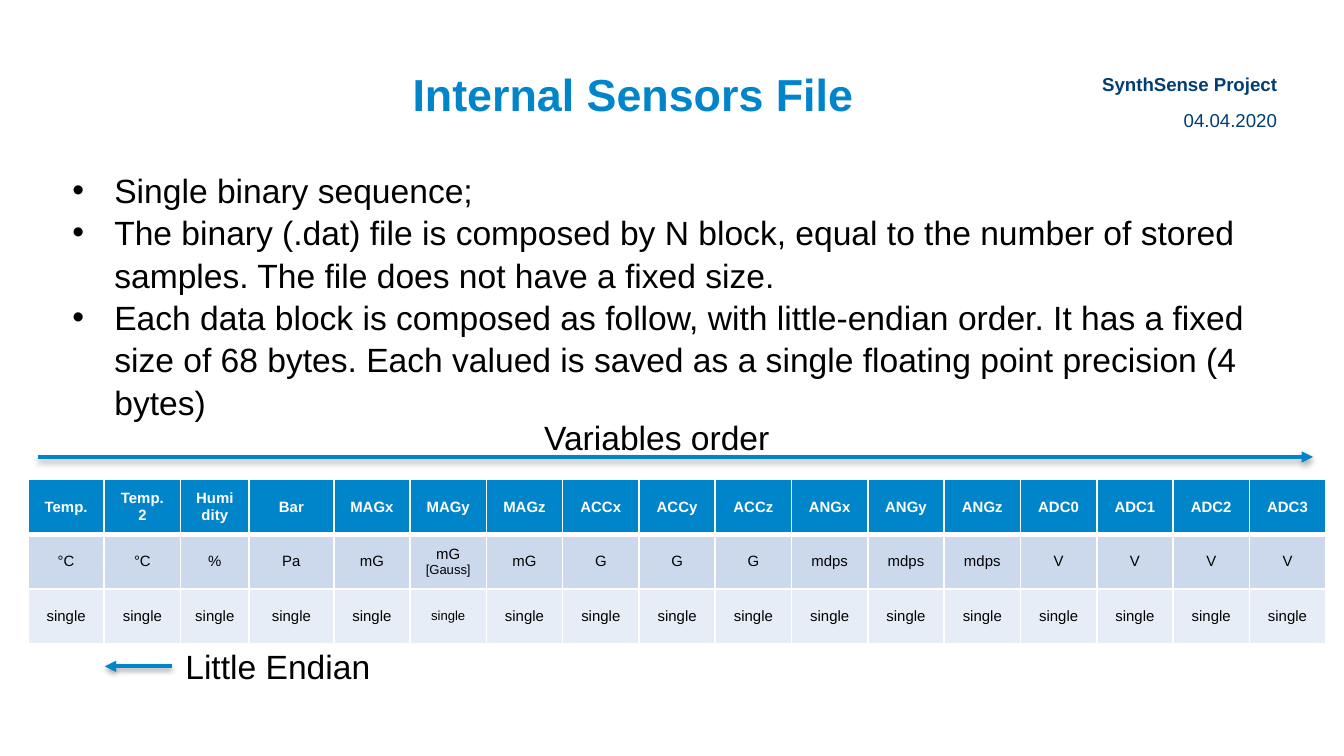
from lxml.etree import SubElement
from pptx import Presentation
from pptx.dml.color import RGBColor
from pptx.enum.shapes import MSO_CONNECTOR
from pptx.enum.text import MSO_ANCHOR, PP_ALIGN
from pptx.oxml.ns import qn
from pptx.util import Pt

HUES = {
    "blue": "0085CA", "navy": "003E74", "black": "000000", "white": "FFFFFF",
    "mid": "CCD9EC", "pale": "E7EDF6",
}
NOTES = [
    "Single binary sequence;",
    "The binary (.dat) file is composed by N block, equal to the number of "
    "stored samples. The file does not have a fixed size.",
    "Each data block is composed as follow, with little-endian order. It has "
    "a fixed size of 68 bytes. Each valued is saved as a single floating "
    "point precision (4 bytes)",
]
NAMES = ["Temp.", "Temp. 2", "Humidity", "Bar"]
NAMES += [kind + axis for kind in ("MAG", "ACC", "ANG") for axis in "xyz"]
NAMES += [f"ADC{port}" for port in range(4)]
UNITS = ["°C", "°C", "%", "Pa", "mG", "mG\n[Gauss]", "mG"]
UNITS += ["G"] * 3 + ["mdps"] * 3 + ["V"] * 4
TYPES = ["single"] * len(NAMES)
WIDTHS = {"Humidity": 36.7, "Bar": 45.4}


def tint(name):
    """Return the named colour."""
    return RGBColor.from_string(HUES[name])


def style(frame, size, hue, bold=False, align=PP_ALIGN.LEFT):
    """Format every run of a text frame alike."""
    for para in frame.paragraphs:
        para.alignment = align
        for run in para.runs:
            font = run.font
            font.name, font.size, font.bold = "Arial", Pt(size), bold
            font.color.rgb = tint(hue)


def place(shape, left, top, width, height):
    """Move and size a shape."""
    shape.left, shape.top = Pt(left), Pt(top)
    shape.width, shape.height = Pt(width), Pt(height)


def inset(frame, top=0):
    """Remove the margins of a text frame but for the top one."""
    frame.margin_left = frame.margin_right = frame.margin_bottom = 0
    frame.margin_top = Pt(top)


def add_title(slide, text):
    """Fill and move the title."""
    title = slide.shapes.title
    place(title, 221, 33.1, 648, 30.2)
    frame = title.text_frame
    frame.text = text
    frame.vertical_anchor = MSO_ANCHOR.MIDDLE
    inset(frame, 3.6)
    style(frame, 24, "blue", True)


def add_text(slide, text, box, size=18, hue="black", **look):
    """Add a wrapped text box and return its frame."""
    frame = slide.shapes.add_textbox(*map(Pt, box)).text_frame
    frame.word_wrap = True
    frame.text = text
    style(frame, size, hue, **look)
    return frame


def add_label(slide, text, box, bold=False):
    """Add a small right-aligned label without margins."""
    frame = add_text(slide, text, box, 10, "navy", bold=bold, align=PP_ALIGN.RIGHT)
    inset(frame)
    frame.paragraphs[0].space_before = Pt(2)


def add_list(slide, items, box):
    """Add a bulleted list."""
    frame = add_text(slide, "\n".join(items), box)
    for para in frame.paragraphs:
        para.line_spacing = 1.05
        props = para._p.get_or_add_pPr()
        props.set("marL", str(Pt(22.5)))
        props.set("indent", str(-Pt(22.5)))
        SubElement(props, qn("a:buFont"), typeface="Arial")
        SubElement(props, qn("a:buChar"), char="•")


def add_arrow(slide, start, end, level):
    """Add a level arrow with a soft shadow below it."""
    ends = map(Pt, (start, level, end, level))
    arrow = slide.shapes.add_connector(MSO_CONNECTOR.STRAIGHT, *ends)
    arrow.line.color.rgb = tint("blue")
    arrow.line.width = Pt(2)
    SubElement(arrow.line._get_or_add_ln(), qn("a:tailEnd"), type="triangle")
    effects = SubElement(arrow._element.spPr, qn("a:effectLst"))
    shade = SubElement(
        effects, qn("a:outerShdw"), blurRad=str(Pt(3.1)), dist=str(Pt(1.6)),
        dir="5400000", rotWithShape="0")
    dark = SubElement(shade, qn("a:srgbClr"), val=HUES["black"])
    SubElement(dark, qn("a:alpha"), val="38000")


def add_edges(cell, top, bottom):
    """Draw white borders round a cell."""
    props = cell._tc.get_or_add_tcPr()
    for side, width in zip("LRTB", (1, 1, top, bottom)):
        line = SubElement(props, qn(f"a:ln{side}"), w=str(Pt(width)))
        fill = SubElement(line, qn("a:solidFill"))
        SubElement(fill, qn("a:srgbClr"), val=HUES["white"])


def fill_cell(cell, text, row, back):
    """Write and format one table cell."""
    head = row == 0
    add_edges(cell, 3 if row == 1 else 1, 3 if head else 1)
    cell.fill.solid()
    cell.fill.fore_color.rgb = tint(back)
    cell.vertical_anchor = MSO_ANCHOR.MIDDLE
    frame = cell.text_frame
    frame.text = text
    style(frame, 8, "white" if head else "black", head, PP_ALIGN.CENTER)


def add_grid(slide, rows, box):
    """Add the table of variables, units and types."""
    shape = slide.shapes.add_table(len(rows), len(NAMES), *map(Pt, box))
    table = shape.table
    table.horz_banding = False
    for col, name in zip(table.columns, NAMES):
        col.width = Pt(WIDTHS.get(name, 40.9))
    for row, (texts, back) in enumerate(rows):
        for col, text in enumerate(texts):
            fill_cell(table.cell(row, col), text, row, back)
    return table


def main():
    """Build the slide and save it."""
    deck = Presentation()
    deck.slide_width, deck.slide_height = Pt(720), Pt(405)
    slide = deck.slides.add_slide(deck.slide_layouts[5])
    add_label(slide, "SynthSense Project", (516, 39, 168, 18.7), True)
    add_label(slide, "04.04.2020", (570, 58.3, 114, 15))
    add_title(slide, "Internal Sensors File")
    add_list(slide, NOTES, (31.7, 86.4, 648, 138))
    rows = [(NAMES, "blue"), (UNITS, "mid"), (TYPES, "pale")]
    table = add_grid(slide, rows, (15, 257, 695.6, 87.9))
    gauss = table.cell(1, 5).text_frame.paragraphs[1]
    single = table.cell(2, 5).text_frame.paragraphs[0]
    for para in (gauss, single):
        para.runs[0].font.size = Pt(7)
    add_arrow(slide, 20.2, 703.4, 244.8)
    add_text(slide, "Variables order", (284.4, 219.6, 142.6, 29))
    add_arrow(slide, 92.2, 56.2, 357)
    add_text(slide, "Little Endian", (92.2, 342.4, 142.6, 29))
    deck.save("out.pptx")


if __name__ == "__main__":
    main()
